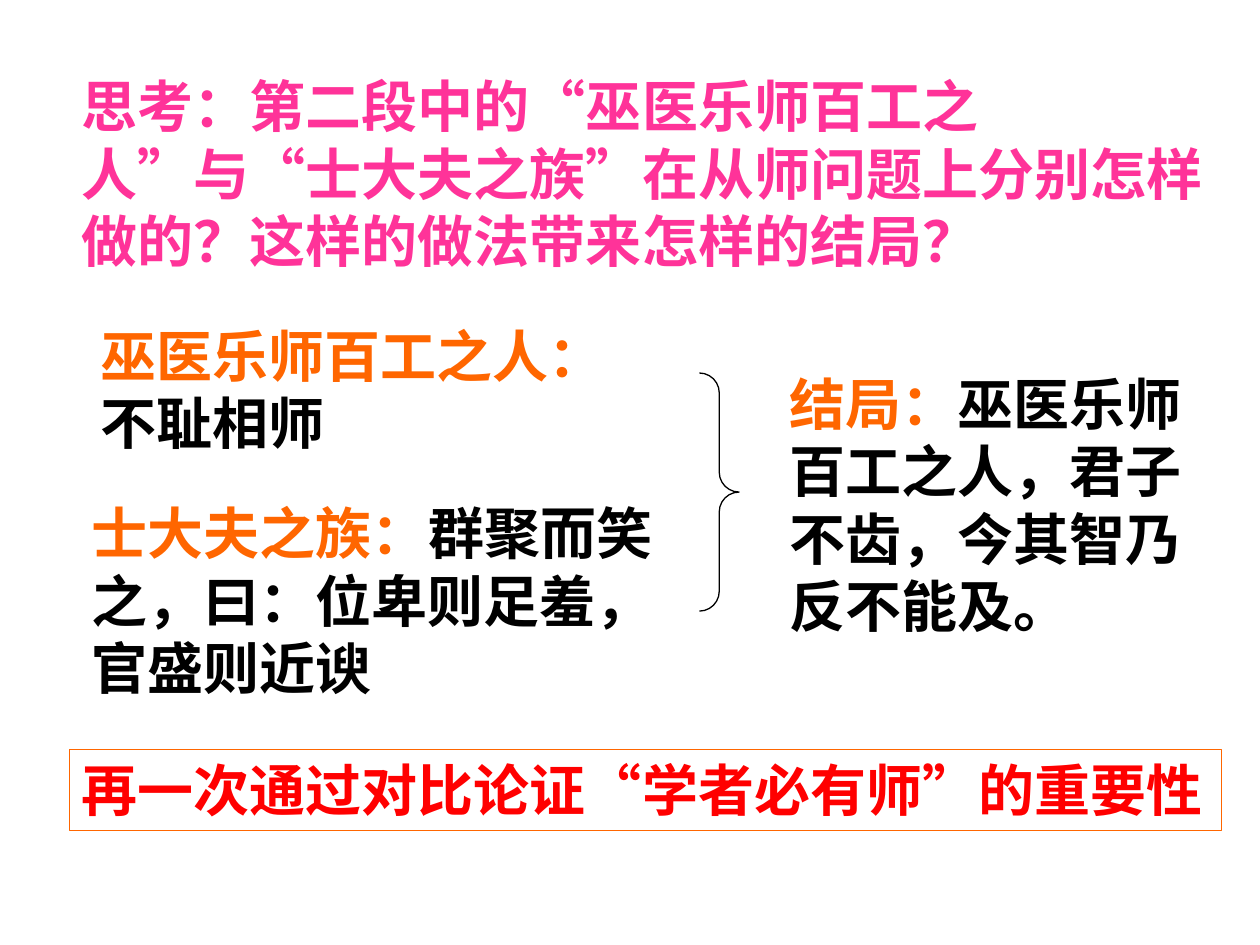
from lxml import etree
from pptx import Presentation
from pptx import util as u
from pptx.dml.color import RGBColor
from pptx.enum import lang, shapes, text
from pptx.oxml import ns

FONT = "Noto Sans CJK SC"
PINK, ORANGE, RED, BLACK = "FF3399", "FF6600", "FF0000", "000000"


def color(value):
    """Turn a hex string into a colour."""
    return RGBColor.from_string(value)


def add_text(slide, box, runs, size=32, font="Arial", bold=True, spacing=38.5, outline=None):
    """Place one paragraph of (words, colour) runs in a box given in centimetres."""
    shape = slide.shapes.add_textbox(*map(u.Cm, box))
    if outline:
        shape.line.color.rgb = color(outline)
        shape.line.width = u.Pt(0.75)
    frame = shape.text_frame
    frame.word_wrap = True
    frame.auto_size = text.MSO_AUTO_SIZE.SHAPE_TO_FIT_TEXT
    paragraph = frame.paragraphs[0]
    paragraph.line_spacing = u.Pt(spacing)
    for words, hue in runs:
        run = paragraph.add_run()
        run.text = words
        run.font.size = u.Pt(size)
        run.font.bold = bold
        run.font.color.rgb = color(hue)
        run.font.language_id = lang.MSO_LANGUAGE_ID.SIMPLIFIED_CHINESE
        run.font.name = font
        east_asian = etree.SubElement(run.font._element, ns.qn("a:ea"))
        east_asian.set("typeface", FONT)
    return shape


def add_question(slide, box):
    """Ask the question at the top of the slide."""
    question = "思考：第二段中的“巫医乐师百工之人”与“士大夫之族”在从师问题上分别怎样做的？这样的做法带来怎样的结局？"
    add_text(slide, box, [(question, PINK)], font=FONT)


def add_brace(slide, box):
    """Draw the brace that gathers both groups."""
    brace = slide.shapes.add_shape(shapes.MSO_SHAPE.RIGHT_BRACE, *map(u.Cm, box))
    brace.shadow.inherit = False
    brace.fill.background()
    brace.line.color.rgb = color(BLACK)
    brace.line.width = u.Pt(0.75)
    brace.adjustments[0] = 0.5


def add_comparison(slide, box):
    """Set the two groups on the left against the outcome on the right."""
    left, top, width, height = box
    add_text(slide, (left + 0.18, top, 11.5, 2.97),
             [("巫医乐师百工之人：", ORANGE), ("不耻相师", BLACK)])
    add_text(slide, (left, top + 3.58, 12.12, 5.69),
             [("士大夫之族：", ORANGE), ("群聚而笑之，曰：位卑则足羞，官盛则近谀", BLACK)])
    add_brace(slide, (left + 12.5, top + 1.17, 0.8, 4.8))
    outcome_left = 14.07
    add_text(slide, (left + outcome_left, top + 0.97, width - outcome_left, height - 0.97),
             [("结局：", ORANGE), ("巫医乐师百工之人，君子不齿，今其智乃反不能及。", BLACK)])


def add_conclusion(slide, box):
    """Frame the conclusion at the bottom of the slide."""
    add_text(slide, box, [("再一次通过对比论证“学者必有师”的重要性", RED)], outline=ORANGE)


def main():
    """Build the slide and save it."""
    presentation = Presentation()
    presentation.slide_width, presentation.slide_height = u.Cm(25.4), u.Cm(19.05)
    slide = presentation.slides.add_slide(presentation.slide_layouts[6])
    add_question(slide, (1.4, 1.32, 23.22, 4.32))
    add_comparison(slide, (1.6, 6.35, 23.01, 9.35))
    add_conclusion(slide, (1.4, 15.11, 23.22, 1.63))
    presentation.save("out.pptx")


if __name__ == "__main__":
    main()
